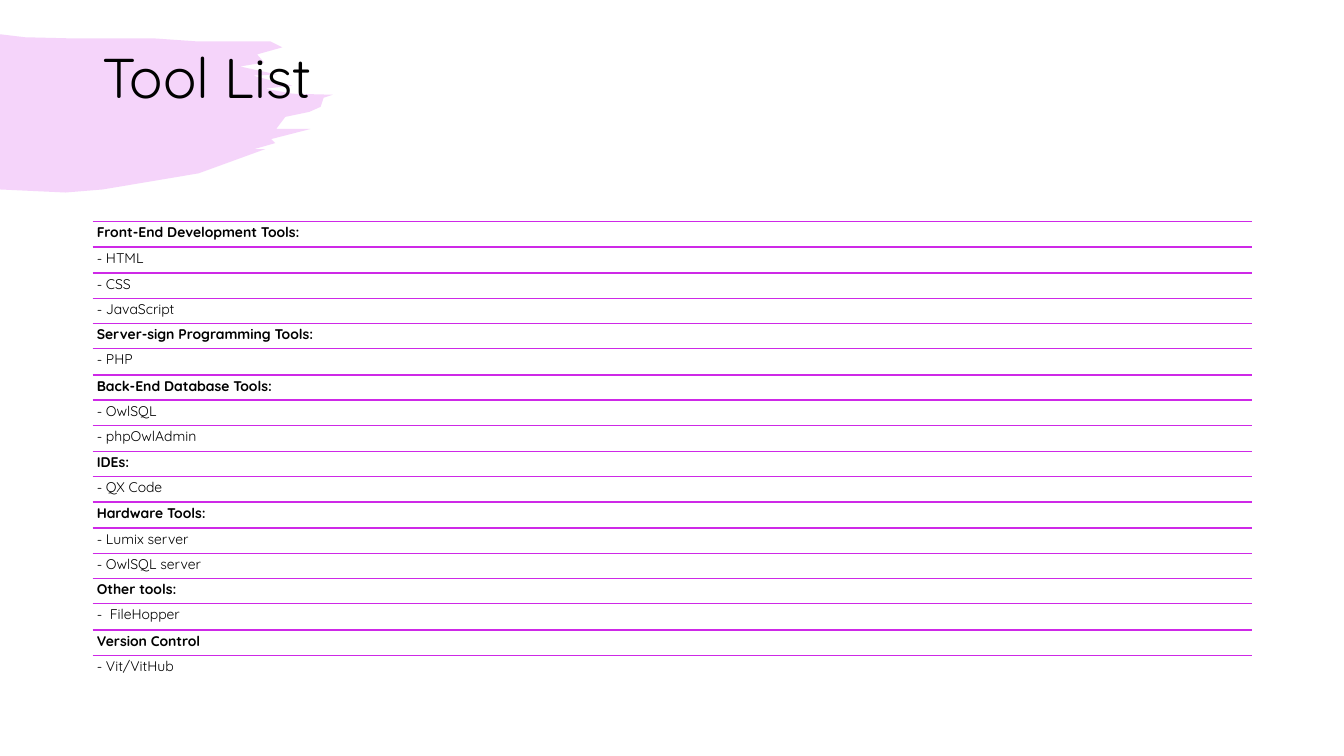
import dataclasses

import lxml.etree
import pptx
import pptx.dml.color
import pptx.enum.shapes
import pptx.enum.text
import pptx.oxml.ns
import pptx.util

PX = 9144  # EMU per px, 100 px to the inch


@dataclasses.dataclass(frozen=True)
class Theme:
    accent: str = "CE29E7"
    text: str = "000000"
    font: str = "Quicksand"
    title_size: int = 40
    row_size: int = 10
    rule_width: int = 1
    brush_alpha: int = 20


THEME = Theme()

TOOLS = {
    "Front-End Development Tools:": ["HTML", "CSS", "JavaScript"],
    "Server-sign Programming Tools:": ["PHP"],
    "Back-End Database Tools:": ["OwlSQL", "phpOwlAdmin"],
    "IDEs:": ["QX Code"],
    "Hardware Tools:": ["Lumix server", "OwlSQL server"],
    "Other tools:": [" FileHopper"],
    "Version Control": ["Vit/VitHub"],
}

LEFT, WIDTH = 92, 1150
LIST_TOP, LAST_ROW_TOP, ROW_HEIGHT = 220, 650, 25

BRUSH_OUTLINE = [
    (0, 34), (25, 37), (66, 38), (151, 38), (194, 41), (248, 41), (268, 41),
    (280, 47), (255, 54), (262, 62), (238, 66), (275, 74), (251, 75),
    (273, 81), (290, 85), (263, 88), (290, 93), (330, 94), (321, 97),
    (318, 106), (307, 111), (283, 116), (274, 128), (308, 128), (269, 138),
    (273, 142), (252, 148), (263, 148), (197, 172), (102, 188), (65, 191),
    (0, 188),
]


def px(n):
    return pptx.util.Emu(n * PX)


def color(value):
    return pptx.dml.color.RGBColor.from_string(value)


def add_brush_stroke(shapes):
    builder = shapes.build_freeform(*BRUSH_OUTLINE[0], scale=PX)
    builder.add_line_segments(BRUSH_OUTLINE[1:], close=True)
    sp = builder.convert_to_shape()
    sp.shadow.inherit = False
    sp.line.fill.background()
    sp.fill.solid()
    sp.fill.fore_color.rgb = color(THEME.accent)
    clr = sp._element.spPr.find(".//" + pptx.oxml.ns.qn("a:srgbClr"))
    alpha = lxml.etree.SubElement(clr, pptx.oxml.ns.qn("a:alpha"))
    alpha.set("val", str(THEME.brush_alpha * 1000))


def add_text(shapes, text, top, height, size, inset, bold=False):
    sp = shapes.add_textbox(px(LEFT), px(top), px(WIDTH), px(height))
    tf = sp.text_frame
    tf.word_wrap = True
    tf.vertical_anchor = pptx.enum.text.MSO_ANCHOR.TOP
    tf.margin_left = tf.margin_right = px(inset)
    tf.margin_top = tf.margin_bottom = px(inset)
    p = tf.paragraphs[0]
    p.text = text
    p.line_spacing = 0.9
    p.font.name = THEME.font
    p.font.size = pptx.util.Pt(size)
    p.font.bold = bold
    p.font.color.rgb = color(THEME.text)


def add_rule(shapes, top):
    line = shapes.add_connector(
        pptx.enum.shapes.MSO_CONNECTOR.STRAIGHT,
        px(LEFT), px(top), px(LEFT + WIDTH), px(top))
    line.line.color.rgb = color(THEME.accent)
    line.line.width = pptx.util.Pt(THEME.rule_width)
    lxml.etree.SubElement(line._element.spPr, pptx.oxml.ns.qn("a:effectLst"))


def add_tool_list(shapes):
    rows = []
    for heading, tools in TOOLS.items():
        rows.append((heading, True))
        rows.extend((f"- {tool}", False) for tool in tools)
    group = shapes.add_group_shape()
    for i, (text, is_heading) in enumerate(rows):
        top = LIST_TOP + round(i * (LAST_ROW_TOP - LIST_TOP) / (len(rows) - 1))
        add_rule(group.shapes, top)
        add_text(group.shapes, text, top, ROW_HEIGHT, THEME.row_size,
                 inset=4, bold=is_heading)


def main():
    prs = pptx.Presentation()
    prs.slide_width, prs.slide_height = px(1333), px(750)
    s = prs.slides.add_slide(prs.slide_layouts[6])
    add_brush_stroke(s.shapes)
    add_text(s.shapes, "Tool List", 40, 145, THEME.title_size, inset=10)
    add_tool_list(s.shapes)
    prs.save("out.pptx")


if __name__ == "__main__":
    main()
